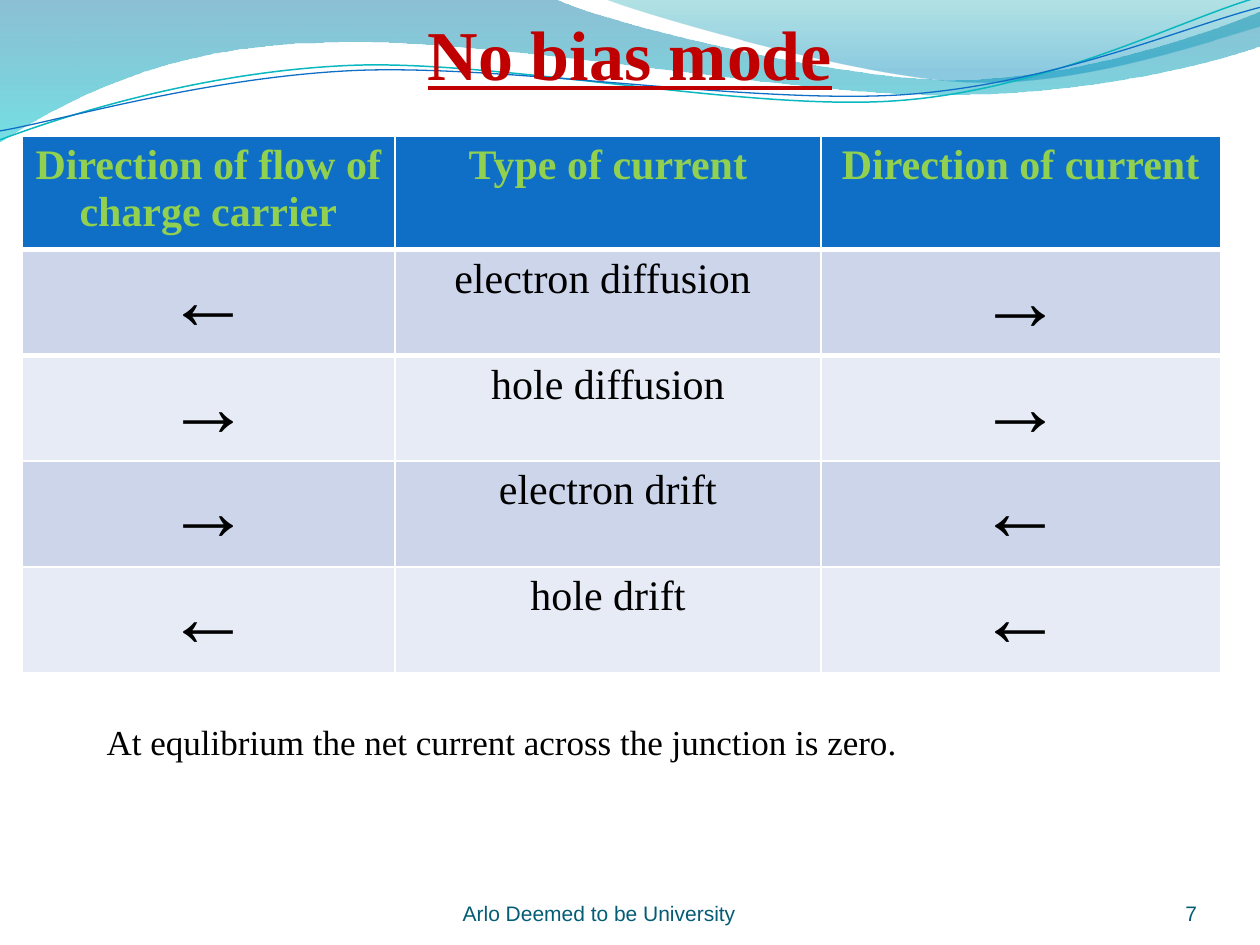
from dataclasses import dataclass
from lxml.etree import SubElement as Sub
from pptx import Presentation
from pptx.dml.color import RGBColor as Rgb
from pptx.enum.text import MSO_ANCHOR as Anchor, PP_ALIGN as Align
from pptx.oxml.ns import qn
from pptx.oxml.xmlchemy import OxmlElement as Node
from pptx.util import Cm, Pt


@dataclass(frozen=True)
class Theme:
    serif: str = "Times New Roman"
    sans: str = "Arial"
    title: str = "C00000"
    head: str = "92D050"
    blue: str = "0F6FC6"
    teal: str = "0AB8BF"
    ink: str = "000000"
    rule: str = "FFFFFF"
    foot: str = "045C75"
    bands: tuple = ("CCD5EA", "E7EBF5")
    big: int = 48
    top: int = 40
    cell: int = 24
    note: int = 20
    small: int = 12


LOOK = Theme()

WAVES = [
    ([(0, -0.03), (11.18, -0.03),
      (12.09, 0.43, 16.87, 1.6, 19.25, 1.6),
      (21.67, 1.6, 24.33, 0.66, 25.4, 0.23), (25.43, 0.91),
      (24.97, 1.12, 22.1, 1.93, 18.95, 1.91),
      (15.8, 1.91, 9.7, 0.71, 6.53, 0.86),
      (3.28, 0.89, 1.17, 2.11, -0.03, 2.87), (0, -0.03)],
     [(0, "0074A1", 45), (1, "00C6CF", 55)]),
    ([(12.17, -0.03),
      (12.93, 0.28, 17.32, 1.57, 19.53, 1.65),
      (21.74, 1.75, 24.41, 0.81, 25.4, 0.53), (25.4, 0), (12.17, -0.03)],
     [(0, "00A1A9", 30), (0.8, "008BBF", 45)]),
]
CURVES = [
    ([(0, 2.82), (1.22, 2.36, 4.01, 1.45, 7.04, 1.32),
      (10.03, 1.19, 15.06, 2.26, 18.11, 2.03),
      (21.16, 1.8, 23.83, 0.38, 25.35, -0.05)], LOOK.teal, 0.85),
    ([(0, 2.64), (1.19, 2.44, 4.17, 1.55, 7.19, 1.42),
      (10.24, 1.3, 15.16, 2.11, 18.21, 1.91),
      (21.23, 1.7, 23.9, 0.53, 25.4, 0.15)], LOOK.blue, 0.75),
]
HEADS = ["Direction of flow of charge carrier", "Type of current",
         "Direction of current"]
ROWS = [
    ("←", "electron diffusion ", "→", LOOK.serif, LOOK.sans),
    ("→", "hole diffusion", "→", LOOK.sans, LOOK.sans),
    ("→", "electron drift", "←", LOOK.serif, LOOK.serif),
    ("←", "hole drift", "←", LOOK.serif, LOOK.serif),
]


def bend(shape, steps):
    legs = iter(list(shape.element.iter(qn("a:lnTo"))))
    for step in steps:
        group = [next(legs) for _ in range(len(step) // 2)]
        if len(group) == 1:
            continue
        curve = Node("a:cubicBezTo")
        group[0].addprevious(curve)
        for leg in group:
            curve.append(leg[0])
            leg.getparent().remove(leg)


def add_path(slide, steps, close):
    dots = [(Cm(step[i]), Cm(step[i + 1]))
            for step in steps for i in range(0, len(step), 2)]
    pen = slide.shapes.build_freeform(*dots[0])
    pen.add_line_segments(dots[1:], close=close)
    shape = pen.convert_to_shape()
    bend(shape, steps[1:])
    shape.shadow.inherit = False
    return shape


def add_wave(slide, steps, stops):
    shape = add_path(slide, steps, True)
    shape.line.fill.background()
    fill = shape.fill
    fill.gradient()
    fill.gradient_angle = 270
    for stop, (pos, tint, alpha) in zip(fill.gradient_stops, stops):
        stop.position = pos
        stop.color.rgb = Rgb.from_string(tint)
    tints = shape.element.spPr.find(qn("a:gradFill")).iter(qn("a:srgbClr"))
    for node, (pos, tint, alpha) in zip(tints, stops):
        Sub(node, qn("a:alpha"), val=str(alpha * 1000))


def add_curve(slide, steps, tint, width):
    shape = add_path(slide, steps, False)
    shape.fill.background()
    shape.line.color.rgb = Rgb.from_string(tint)
    shape.line.width = Pt(width)


def put(frame, words, size, tint, face=LOOK.serif, align=Align.CENTER, **more):
    para = frame.paragraphs[0]
    para.alignment = align
    run = para.add_run()
    run.text = words
    run.font.color.rgb = Rgb.from_string(tint)
    for key, value in dict(name=face, size=Pt(size), **more).items():
        setattr(run.font, key, value)


def add_text(slide, box, words, size, tint, shape=None, **more):
    frame = slide.shapes.add_textbox(*map(Cm, box)).text_frame
    for key, value in dict(word_wrap=True, **(shape or {})).items():
        setattr(frame, key, value)
    put(frame, words, size, tint, **more)


def set_cell(cell, words, tone, size, tint, **more):
    cell.fill.solid()
    cell.fill.fore_color.rgb = Rgb.from_string(tone)
    if size == LOOK.big:
        cell.margin_top, cell.margin_bottom = Cm(0.1), Cm(0)
    put(cell.text_frame, words, size, tint, **more)


def set_edge(cell, side, width):
    edge = Node("a:" + side)
    edge.set("w", str(Pt(width)))
    Sub(Sub(edge, qn("a:solidFill")), qn("a:srgbClr"), val=LOOK.rule)
    cell._tc.get_or_add_tcPr().insert(0, edge)


def add_grid(slide):
    wide, high = (7.52, 8.59, 8.05), [2.29] + [1.88] * len(ROWS)
    box = map(Cm, (0.44, 2.74, sum(wide), sum(high)))
    grid = slide.shapes.add_table(len(high), len(wide), *box).table
    for col, size in zip(grid.columns, wide):
        col.width = Cm(size)
    for row, size in zip(grid.rows, high):
        row.height = Cm(size)
    for j, words in enumerate(HEADS):
        set_cell(grid.cell(0, j), words, LOOK.blue, LOOK.cell, LOOK.head,
                 bold=True)
        set_edge(grid.cell(0, j), "lnB", 3)
        set_edge(grid.cell(1, j), "lnT", 3)
    for i, (flow, kind, drive, left, right) in enumerate(ROWS):
        tone = LOOK.bands[i % 2]
        items = [(flow, LOOK.big, left), (kind, LOOK.cell, LOOK.serif),
                 (drive, LOOK.big, right)]
        for j, (words, size, face) in enumerate(items):
            set_cell(grid.cell(i + 1, j), words, tone, size, LOOK.ink,
                     face=face)


def main():
    deck = Presentation()
    deck.slide_width, deck.slide_height = Cm(25.4), Cm(19.05)
    slide = deck.slides.add_slide(deck.slide_layouts[6])
    for wave in WAVES:
        add_wave(slide, *wave)
    for curve in CURVES:
        add_curve(slide, *curve)
    base = dict(vertical_anchor=Anchor.BOTTOM, margin_left=0, margin_top=0,
                margin_right=0, margin_bottom=0)
    add_text(slide, (1.27, 0, 22.86, 1.91), "No bias mode", LOOK.top,
             LOOK.title, base, bold=True, underline=True)
    add_text(slide, (22.02, 17.65, 2.11, 1.02), "7", LOOK.small, LOOK.foot,
             base, face=LOOK.sans, align=Align.RIGHT)
    add_text(slide, (7.42, 17.65, 9.32, 1.02), "Arlo Deemed to be University",
             LOOK.small, LOOK.foot, base, face=LOOK.sans)
    add_grid(slide)
    add_text(slide, (1.9, 14.4, 20.29, 1.12),
             "At equlibrium the net current across the junction is zero.",
             LOOK.note, LOOK.ink, align=Align.LEFT)
    deck.save("out.pptx")


if __name__ == "__main__":
    main()
